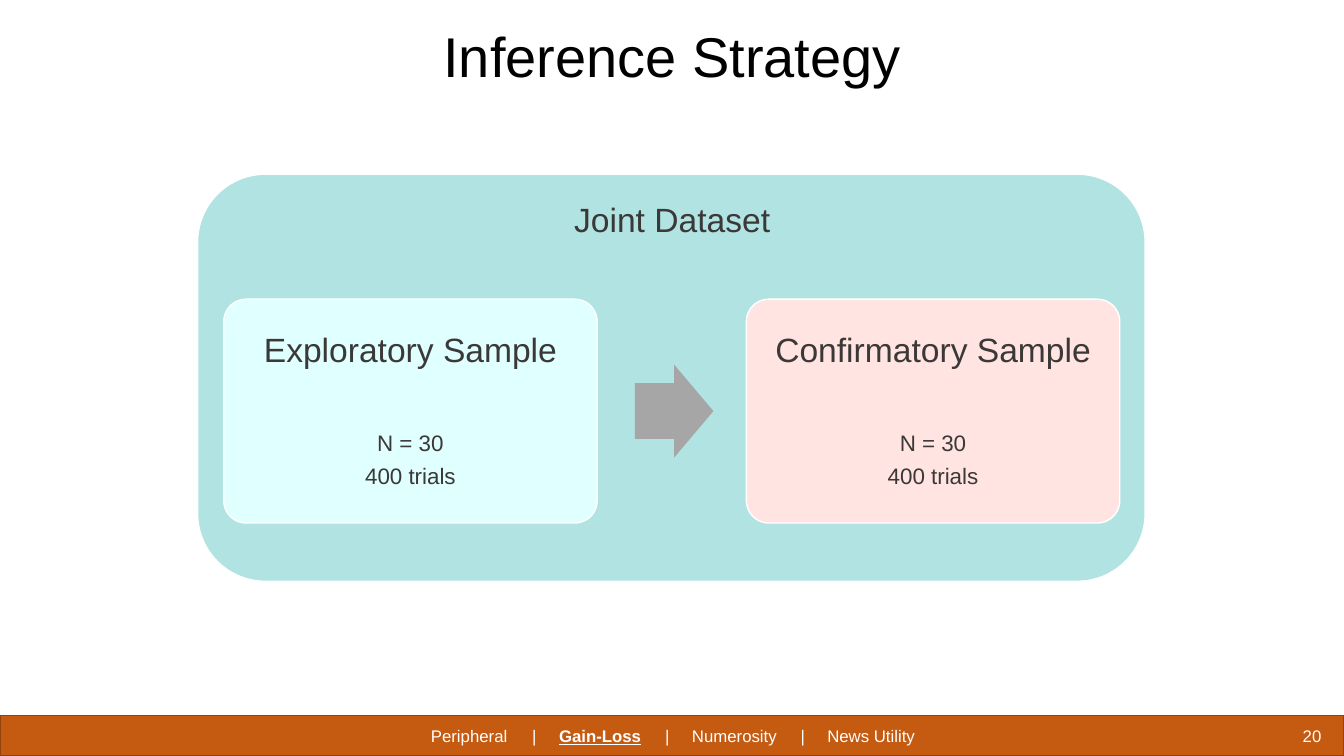
from dataclasses import dataclass

from lxml.etree import SubElement
from pptx import Presentation
from pptx.dml.color import RGBColor
from pptx.enum.shapes import MSO_SHAPE
from pptx.enum.text import MSO_ANCHOR, PP_ALIGN
from pptx.oxml.ns import qn
from pptx.util import Cm, Pt


@dataclass(frozen=True)
class Theme:
    font: str = "Arial"
    black: str = "000000"
    white: str = "FFFFFF"
    text: str = "3B3838"
    panel: str = "B0E3E2"
    exploratory: str = "E0FFFF"
    confirmatory: str = "FFE4E1"
    arrow: str = "A6A6A6"
    footer: str = "C55A11"
    footer_line: str = "92430D"
    title_size: int = 40
    heading_size: int = 24
    body_size: int = 16
    footer_size: int = 12


theme = Theme()
presentation = Presentation()
presentation.slide_width = Cm(33.87)
presentation.slide_height = Cm(19.05)
slide = presentation.slides.add_slide(presentation.slide_layouts[6])


def add_filled(kind, left, top, width, height, fill, line=None):
    shape = slide.shapes.add_shape(kind, Cm(left), Cm(top), Cm(width), Cm(height))
    shape.shadow.inherit = False
    shape.fill.solid()
    shape.fill.fore_color.rgb = RGBColor.from_string(fill)
    if line:
        shape.line.color.rgb = RGBColor.from_string(line)
        shape.line.width = Pt(1)
    else:
        shape.line.fill.background()
    return shape


def style_paragraph(paragraph, size, color, alignment=PP_ALIGN.CENTER):
    paragraph.alignment = alignment
    paragraph.font.name = theme.font
    paragraph.font.size = Pt(size)
    paragraph.font.color.rgb = RGBColor.from_string(color)


add_filled(MSO_SHAPE.RECTANGLE, 0, 18.03, 33.87, 1.02, theme.footer, theme.footer_line)
add_filled(MSO_SHAPE.ROUNDED_RECTANGLE, 4.98, 4.39, 23.88, 10.26, theme.panel, theme.white)

texts = [
    ("Joint Dataset", 13.94, 4.88, 6, 1.27, theme.heading_size, theme.text,
     PP_ALIGN.CENTER, MSO_ANCHOR.TOP),
    ("Inference Strategy", 1.68, 0.58, 30.51, 1.8, theme.title_size, theme.black,
     PP_ALIGN.CENTER, MSO_ANCHOR.BOTTOM),
    ("20", 28.32, 18.03, 5.23, 1.02, theme.footer_size, theme.white,
     PP_ALIGN.RIGHT, MSO_ANCHOR.MIDDLE),
]
for text, left, top, width, height, size, color, alignment, anchor in texts:
    box = slide.shapes.add_textbox(Cm(left), Cm(top), Cm(width), Cm(height))
    box.text_frame.word_wrap = True
    box.text_frame.vertical_anchor = anchor
    paragraph = box.text_frame.paragraphs[0]
    paragraph.text = text
    style_paragraph(paragraph, size, color, alignment)
    if size == theme.title_size:
        paragraph.line_spacing = 0.9

navigation = slide.shapes.add_textbox(Cm(10.86), Cm(18.03), Cm(17.46), Cm(1.02))
navigation.text_frame.word_wrap = True
navigation.text_frame.margin_left = 0
navigation.text_frame.vertical_anchor = MSO_ANCHOR.MIDDLE
paragraph = navigation.text_frame.paragraphs[0]
tabs = SubElement(paragraph._p.get_or_add_pPr(), qn("a:tabLst"))
for position in (2.55, 3.23, 5.9, 6.58, 9.32, 9.99):
    SubElement(tabs, qn("a:tab"), pos=str(Cm(position)), algn="l")
for text in ("Peripheral\t|\t", "Gain-Loss", "\t|\tNumerosity\t|\tNews Utility"):
    run = paragraph.add_run()
    run.text = text
    if text == "Gain-Loss":
        run.font.bold = True
        run.font.underline = True
style_paragraph(paragraph, theme.footer_size, theme.white, PP_ALIGN.LEFT)

samples = [
    ("Exploratory Sample", 5.64, theme.exploratory),
    ("Confirmatory Sample", 18.81, theme.confirmatory),
]
for heading, left, fill in samples:
    card = add_filled(MSO_SHAPE.ROUNDED_RECTANGLE, left, 7.54, 9.41, 5.64, fill, theme.white)
    card.adjustments[0] = 0.1
    frame = card.text_frame
    frame.word_wrap = True
    frame.vertical_anchor = MSO_ANCHOR.MIDDLE
    frame.margin_left = frame.margin_right = Cm(0.43)
    frame.margin_top = frame.margin_bottom = Cm(0.43)
    frame.text = "\n".join((heading, "N = 30", "400 trials"))
    sizes = (theme.heading_size, theme.body_size, theme.body_size)
    for paragraph, size, gap in zip(frame.paragraphs, sizes, (44.5, 6.4, 0)):
        paragraph.line_spacing = 0.9
        paragraph.space_after = Pt(gap)
        style_paragraph(paragraph, size, theme.text)

arrow = add_filled(MSO_SHAPE.RIGHT_ARROW, 16, 9.19, 1.98, 2.34, theme.arrow)
arrow.adjustments[0] = 0.6
arrow.adjustments[1] = 0.5

presentation.save("out.pptx")
